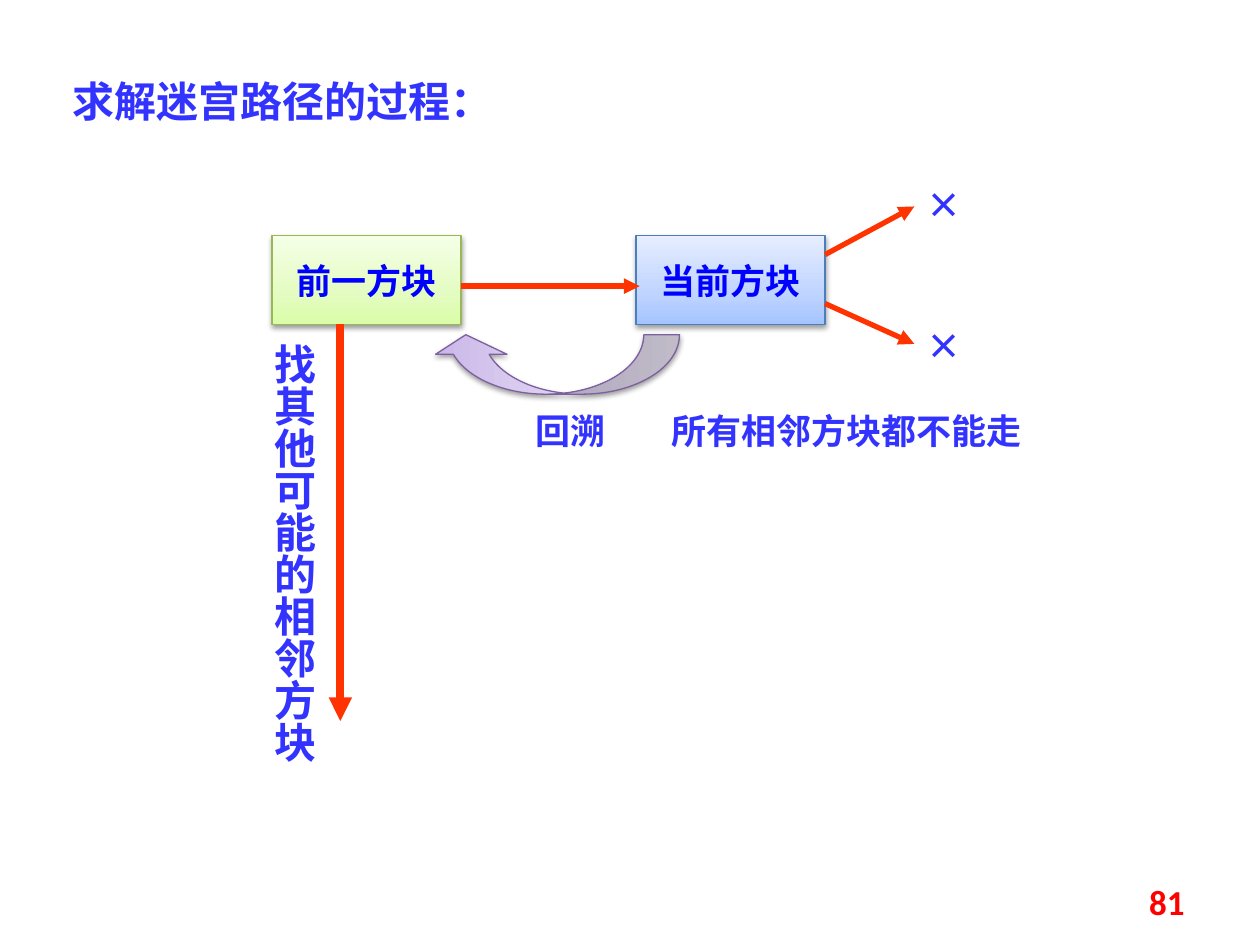
from copy import deepcopy
from lxml.etree import SubElement
from pptx import Presentation
from pptx.dml.color import RGBColor
from pptx.enum.shapes import MSO_CONNECTOR, MSO_SHAPE
from pptx.enum.text import MSO_ANCHOR, PP_ALIGN
from pptx.oxml import parse_xml
from pptx.oxml.ns import nsdecls, qn
from pptx.util import Pt

CJK = "Noto Sans CJK SC"
BLUE, RED = "3333FF", "FF3300"
SHADOW = (
    f'<a:effectLst {nsdecls("a")}><a:outerShdw blurRad="39370" dist="20320" '
    'dir="5400000" rotWithShape="0"><a:srgbClr val="000000">'
    '<a:alpha val="38000"/></a:srgbClr></a:outerShdw></a:effectLst>'
)


def rgb(value):
    return RGBColor.from_string(value)


def write(shape, text, size, color=BLUE, font=CJK, bold=True,
          align=PP_ALIGN.CENTER, anchor=MSO_ANCHOR.TOP, wrap=True):
    tf = shape.text_frame
    tf.word_wrap = wrap
    tf.vertical_anchor = anchor
    p = tf.paragraphs[0]
    r = p.add_run()
    r.text = text
    p.alignment = align
    p.space_before = Pt(0)
    p.font.name, p.font.size, p.font.bold = font, Pt(size), bold
    p.font.color.rgb = rgb(color)
    # East Asian typeface for the Chinese characters
    SubElement(r.font._element, qn("a:ea")).set("typeface", CJK)
    return tf


prs = Presentation()
prs.slide_width, prs.slide_height = Pt(720), Pt(540)
s = prs.slides.add_slide(prs.slide_layouts[5])

# Title
title = s.shapes.title
title.left, title.top, title.width, title.height = Pt(34), Pt(39.5), Pt(266), Pt(36)
write(title, "求解迷宫路径的过程：", 24, font="Times New Roman", align=PP_ALIGN.LEFT)

# Two squares and the curved arrow back
shapes = [
    (MSO_SHAPE.RECTANGLE, 155.5, 134.5, 108, 51, "前一方块",
     ("DAFDA7", "E4FCC2", "F5FFE7"), "98B955"),
    (MSO_SHAPE.RECTANGLE, 363.5, 134.5, 108, 51, "当前方块",
     ("A4C4FF", "BFD4FF", "E6EEFF"), "4B7EBC"),
    (MSO_SHAPE.CURVED_LEFT_ARROW, 300, 137, 34, 142.5, "",
     ("C9B5E8", "D8CBEE", "F0EAF9"), "7D60A0"),
]
for kind, x, y, w, h, text, colors, edge in shapes:
    sp = s.shapes.add_shape(kind, Pt(x), Pt(y), Pt(w), Pt(h))
    sp.fill.gradient()
    sp.fill.gradient_angle = 90
    stops = sp._element.spPr.find(".//" + qn("a:gsLst"))
    stops.append(deepcopy(stops[-1]))
    for stop, position, color in zip(sp.fill.gradient_stops, (0, 0.35, 1), colors):
        stop.position = position
        stop.color.rgb = rgb(color)
    sp.line.color.rgb = rgb(edge)
    sp.line.width = Pt(0.75)
    sp._element.spPr.append(parse_xml(SHADOW))
    if text:
        write(sp, text, 20, "0000FF", anchor=MSO_ANCHOR.MIDDLE, wrap=False)
    else:
        sp.rotation = 90
        for i, value in enumerate((0.6, 1.2, 0.33)):
            sp.adjustments[i] = value

# Straight arrows
arrows = [
    (471.5, 145.5, 522.5, 118, 3),
    (471.5, 173.5, 522.5, 196.5, 3),
    (263.5, 163.5, 365.5, 163.5, 3),
    (194.5, 185, 194.5, 412, 4.5),
]
for x1, y1, x2, y2, width in arrows:
    c = s.shapes.add_connector(MSO_CONNECTOR.STRAIGHT, Pt(x1), Pt(y1), Pt(x2), Pt(y2))
    c.line.color.rgb = rgb(RED)
    c.line.width = Pt(width)
    SubElement(c.line._get_or_add_ln(), qn("a:tailEnd")).set("type", "triangle")
    SubElement(c._element.spPr, qn("a:effectLst"))

# Labels
labels = [
    (517, 101.5, 45, "×", CJK, PP_ALIGN.CENTER),
    (517, 182, 45, "×", CJK, PP_ALIGN.CENTER),
    (292, 230.5, 68, "回溯", CJK, PP_ALIGN.CENTER),
    (376.5, 230.5, 225.5, "所有相邻方块都不能走", "Times New Roman", PP_ALIGN.LEFT),
]
for x, y, w, text, font, align in labels:
    box = s.shapes.add_textbox(Pt(x), Pt(y), Pt(w), Pt(31.5))
    write(box, text, 20, font=font, align=align)

# Vertical label
box = s.shapes.add_textbox(Pt(153.5), Pt(196.5), Pt(29), Pt(255.5))
tf = write(box, "找其他可能的相邻方块", 24)
tf.margin_left = tf.margin_top = tf.margin_right = tf.margin_bottom = 0
tf._txBody.bodyPr.set("vert", "eaVert")

# Page number
box = s.shapes.add_textbox(Pt(516), Pt(500.5), Pt(168), Pt(29))
write(box, "81", 20, "FF0000", "Calibri", align=PP_ALIGN.RIGHT, anchor=MSO_ANCHOR.MIDDLE)

prs.save("out.pptx")
